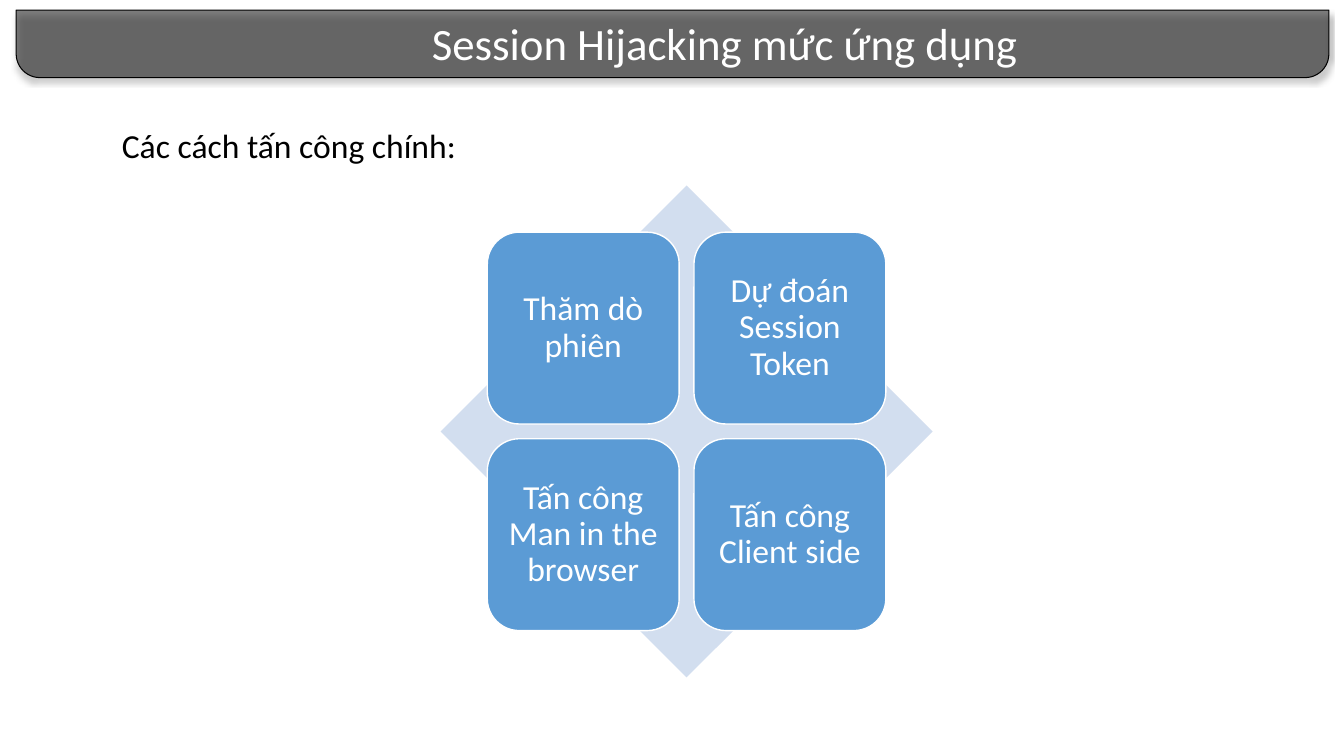
from lxml import etree
from pptx import Presentation
from pptx.dml.color import RGBColor
from pptx.enum.shapes import MSO_SHAPE as SHAPE
from pptx.enum.text import MSO_ANCHOR as ANCHOR, PP_ALIGN as ALIGN
from pptx.oxml import parse_xml
from pptx.oxml.ns import nsdecls, qn
from pptx.util import Inches, Pt

FONT = "Calibri"
ATTACKS = [
    ["Thăm dò phiên", "Dự đoán Session Token"],
    ["Tấn công Man in the browser", "Tấn công Client side"],
]


def rgb(value):
    return RGBColor.from_string(value)


def add_shape(slide, kind, box, fill, line=None, width=1):
    sp = slide.shapes.add_shape(kind, *map(Inches, box))
    sp.shadow.inherit = False
    sp.fill.solid()
    sp.fill.fore_color.rgb = rgb(fill)
    if line:
        sp.line.color.rgb = rgb(line)
        sp.line.width = Pt(width)
    else:
        sp.line.fill.background()
    return sp


def write(sp, text, size, color, align, anchor, inset=None, spacing=None):
    tf = sp.text_frame
    tf.word_wrap = True
    tf.vertical_anchor = anchor
    if inset is not None:
        tf.margin_left = tf.margin_right = Inches(inset)
        tf.margin_top = tf.margin_bottom = Inches(inset)
    p = tf.paragraphs[0]
    p.alignment = align
    p.line_spacing = spacing
    r = p.add_run()
    r.text = text
    r.font.name = FONT
    r.font.size = Pt(size)
    r.font.color.rgb = rgb(color)


def add_banner(slide, box, text):
    left, top, width, height = box
    sp = add_shape(slide, SHAPE.ROUND_2_SAME_RECTANGLE, box, "000000", "000000", 0.75)
    sp.rotation = 180
    sp.adjustments[0] = 0.352
    spPr = sp._element.spPr
    color = spPr.find(qn("a:solidFill"))[0]
    etree.SubElement(color, qn("a:alpha"), val="50000")
    shadow = parse_xml(
        f'<a:outerShdw {nsdecls("a")} blurRad="{Pt(4)}" dist="{Pt(3)}" '
        'dir="5400000" rotWithShape="0"><a:srgbClr val="000000">'
        '<a:alpha val="40000"/></a:srgbClr></a:outerShdw>')
    spPr.find(qn("a:effectLst")).append(shadow)
    title_box = (left + 0.24 * width, top + 0.01, 0.6 * width, 0.64)
    title = slide.shapes.add_textbox(*map(Inches, title_box))
    write(title, text, 32, "FFFFFF", ALIGN.CENTER, ANCHOR.TOP)


def add_heading(slide, box, text):
    sp = slide.shapes.add_textbox(*map(Inches, box))
    write(sp, text, 24, "000000", ALIGN.LEFT, ANCHOR.BOTTOM, spacing=0.9)


def add_matrix(slide, box, rows):
    left, top, side, _ = box
    add_shape(slide, SHAPE.DIAMOND, box, "D2DEEF")
    tile = 0.39 * side
    pitch = 0.42 * side
    margin = (side - tile - pitch) / 2
    for i, row in enumerate(rows):
        for j, text in enumerate(row):
            tile_box = (left + margin + j * pitch, top + margin + i * pitch, tile, tile)
            sp = add_shape(slide, SHAPE.ROUNDED_RECTANGLE, tile_box, "5B9BD5", "FFFFFF")
            write(sp, text, 24, "FFFFFF", ALIGN.CENTER, ANCHOR.MIDDLE, 0.1, 0.9)


def main():
    prs = Presentation()
    prs.slide_width = Inches(13.33)
    prs.slide_height = Inches(7.5)
    slide = prs.slides.add_slide(prs.slide_layouts[6])
    add_banner(slide, (0.16, 0.1, 13.02, 0.67), "Session Hijacking mức ứng dụng")
    add_heading(slide, (1.11, 1.23, 10, 0.46), "Các cách tấn công chính:")
    add_matrix(slide, (4.37, 1.84, 4.88, 4.88), ATTACKS)
    prs.save("out.pptx")


if __name__ == "__main__":
    main()
